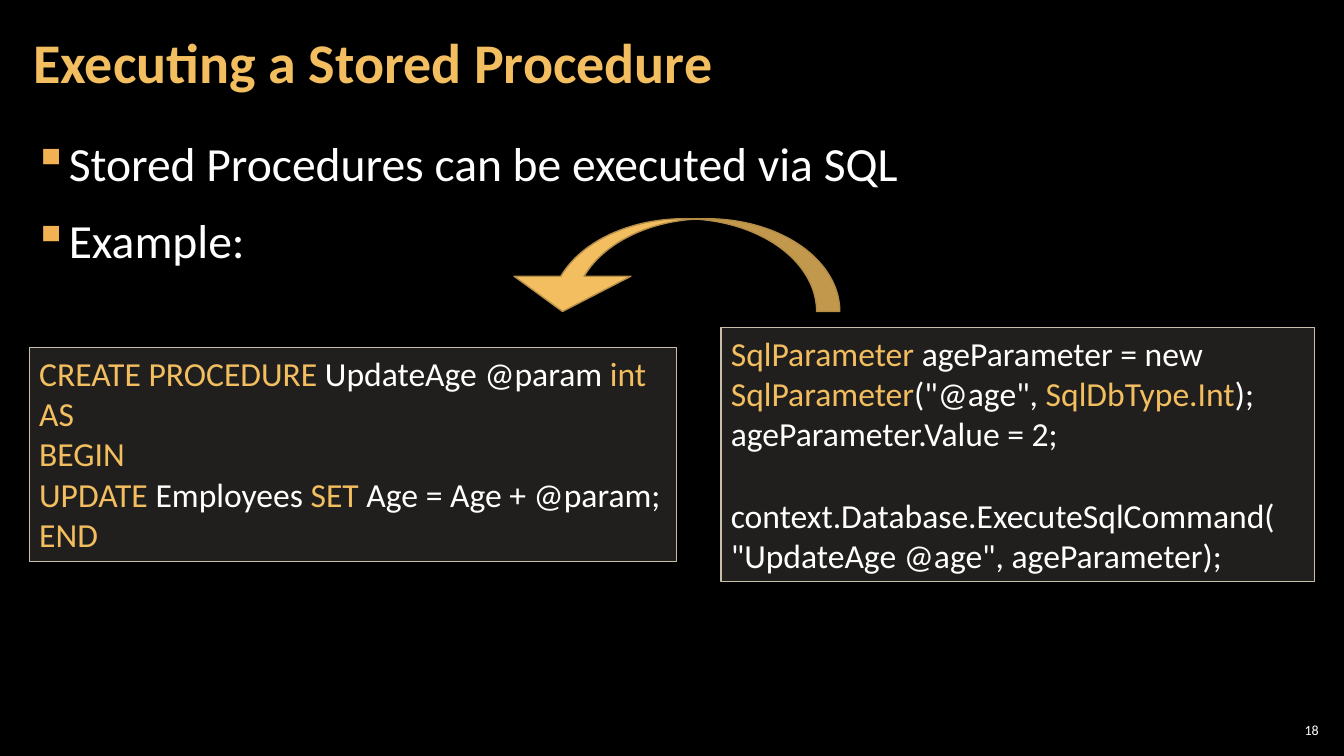
"""Build the slide on executing a stored procedure."""
import pptx
import pptx.util
import pptx.dml.color
import pptx.enum.shapes
import pptx.enum.text
import pptx.oxml
import pptx.oxml.ns
from lxml import etree

Inches, Pt = pptx.util.Inches, pptx.util.Pt
RGBColor = pptx.dml.color.RGBColor
ALIGN = pptx.enum.text.PP_ALIGN
ANCHOR = pptx.enum.text.MSO_ANCHOR
FIT = pptx.enum.text.MSO_AUTO_SIZE
SHAPE = pptx.enum.shapes.MSO_SHAPE

BLACK = RGBColor(0x00, 0x00, 0x00)
WHITE = RGBColor(0xFF, 0xFF, 0xFF)
GOLD = RGBColor(0xF3, 0xBE, 0x60)
BULLET_GOLD = RGBColor(0xF2, 0xB2, 0x54)
DARK_GOLD = RGBColor(0xB4, 0x8D, 0x47)
SAND = RGBColor(0xD9, 0xD5, 0xC7)
SAND_EDGE = RGBColor(0xC7, 0xBF, 0xAC)

FONT = "Calibri"
CODE_SIZE = 24
LINE_GAP = CODE_SIZE * 1.22

TITLE = "Executing a Stored Procedure"
BULLETS = ["Stored Procedures can be executed via SQL", "Example:"]
PAGE_NUMBER = "18"

PROCEDURE_CODE = [
    (0, [("CREATE PROCEDURE", GOLD), (" UpdateAge @param ", WHITE), ("int", GOLD)]),
    (0, [("AS", GOLD)]),
    (0, [("BEGIN", GOLD)]),
    (0, [("UPDATE", GOLD), (" Employees ", WHITE), ("SET", GOLD),
         (" Age = Age + @param;", WHITE)]),
    (0, [("END", GOLD)]),
]
CALL_CODE = [
    (0, [("SqlParameter", GOLD), (" ageParameter = new ", WHITE),
         ("SqlParameter", GOLD), ('("@age", ', WHITE),
         ("SqlDbType.Int", GOLD), (");", WHITE)]),
    (0, [("ageParameter.Value = 2;", WHITE)]),
    (LINE_GAP, [("context.Database.ExecuteSqlCommand(", WHITE)]),
    (0, [('"UpdateAge @age", ageParameter);', WHITE)]),
]
CODE_BOXES = [
    ((0.29, 3.45, 6.42, 2.12), PROCEDURE_CODE),
    ((7.15, 3.25, 5.89, 2.52), CALL_CODE),
]


def set_frame(box, side, anchor):
    frame = box.text_frame
    frame.word_wrap = True
    frame.auto_size = FIT.NONE
    frame.vertical_anchor = anchor
    frame.margin_left = frame.margin_right = Inches(side)
    frame.margin_top = frame.margin_bottom = Inches(0.04)
    return frame


def set_font(para, size, color=None, bold=False):
    para.font.name = FONT
    para.font.size = Pt(size)
    para.font.bold = bold
    if color is not None:
        para.font.color.rgb = color


def add_bullet(para):
    properties = para._p.get_or_add_pPr()
    properties.set("marL", str(Inches(0.33)))
    properties.set("indent", str(-Inches(0.33)))
    namespace = pptx.oxml.ns.nsdecls("a")
    for xml in (f'<a:buClr {namespace}><a:srgbClr val="{BULLET_GOLD}"/></a:buClr>',
                f'<a:buChar {namespace} char="▪"/>'):
        properties.append(pptx.oxml.parse_xml(xml))


def add_shape(page, kind, place, fill, line):
    shape = page.shapes.add_shape(kind, *map(Inches, place))
    shape.shadow.inherit = False
    shape.fill.solid()
    shape.fill.fore_color.rgb = fill
    shape.line.color.rgb = line
    shape.line.width = Pt(1)
    return shape


def add_code_box(page, place, lines):
    box = add_shape(page, SHAPE.RECTANGLE, place, SAND, SAND_EDGE)
    color = box._element.spPr.find(".//" + pptx.oxml.ns.qn("a:srgbClr"))
    etree.SubElement(color, pptx.oxml.ns.qn("a:alpha"), val="15000")
    frame = box.text_frame
    frame.word_wrap = True
    frame.auto_size = FIT.SHAPE_TO_FIT_TEXT
    frame.vertical_anchor = ANCHOR.TOP
    for index, (gap, spans) in enumerate(lines):
        para = frame.add_paragraph() if index else frame.paragraphs[0]
        para.alignment = ALIGN.LEFT
        para.space_before = Pt(gap)
        set_font(para, CODE_SIZE)
        for text, tint in spans:
            span = para.add_run()
            span.text = text
            span.font.color.rgb = tint


def main():
    deck = pptx.Presentation()
    deck.slide_width, deck.slide_height = Inches(13.33), Inches(7.5)
    page = deck.slides.add_slide(deck.slide_layouts[5])
    page.background.fill.solid()
    page.background.fill.fore_color.rgb = BLACK

    title = page.shapes.title
    title.left, title.top, title.width, title.height = map(
        Inches, (0.21, 0.04, 10.47, 1.21))
    para = set_frame(title, 0.12, ANCHOR.MIDDLE).paragraphs[0]
    para.text = TITLE
    para.alignment = ALIGN.LEFT
    para.line_spacing = 0.9
    set_font(para, 40, GOLD, bold=True)

    body = page.shapes.add_textbox(*map(Inches, (0.21, 1.26, 12.91, 6.09)))
    frame = set_frame(body, 0.12, ANCHOR.TOP)
    for index, text in enumerate(BULLETS):
        para = frame.add_paragraph() if index else frame.paragraphs[0]
        para.text = text
        para.line_spacing = 1.05
        para.space_before = para.space_after = Pt(6)
        add_bullet(para)
        set_font(para, 34, WHITE)

    for place, lines in CODE_BOXES:
        add_code_box(page, place, lines)

    arrow = add_shape(page, SHAPE.CURVED_DOWN_ARROW, (5, 2.17, 3.33, 0.92),
                      GOLD, DARK_GOLD)
    arrow._element.spPr.xfrm.set("flipH", "1")
    for index, value in enumerate((0.25, 1.26, 0.38)):
        arrow.adjustments[index] = value

    number = page.shapes.add_textbox(*map(Inches, (12.65, 7.14, 0.47, 0.21)))
    para = set_frame(number, 0.04, ANCHOR.MIDDLE).paragraphs[0]
    para.text = PAGE_NUMBER
    para.alignment = ALIGN.RIGHT
    set_font(para, 10, WHITE)

    deck.save("out.pptx")


if __name__ == "__main__":
    main()
